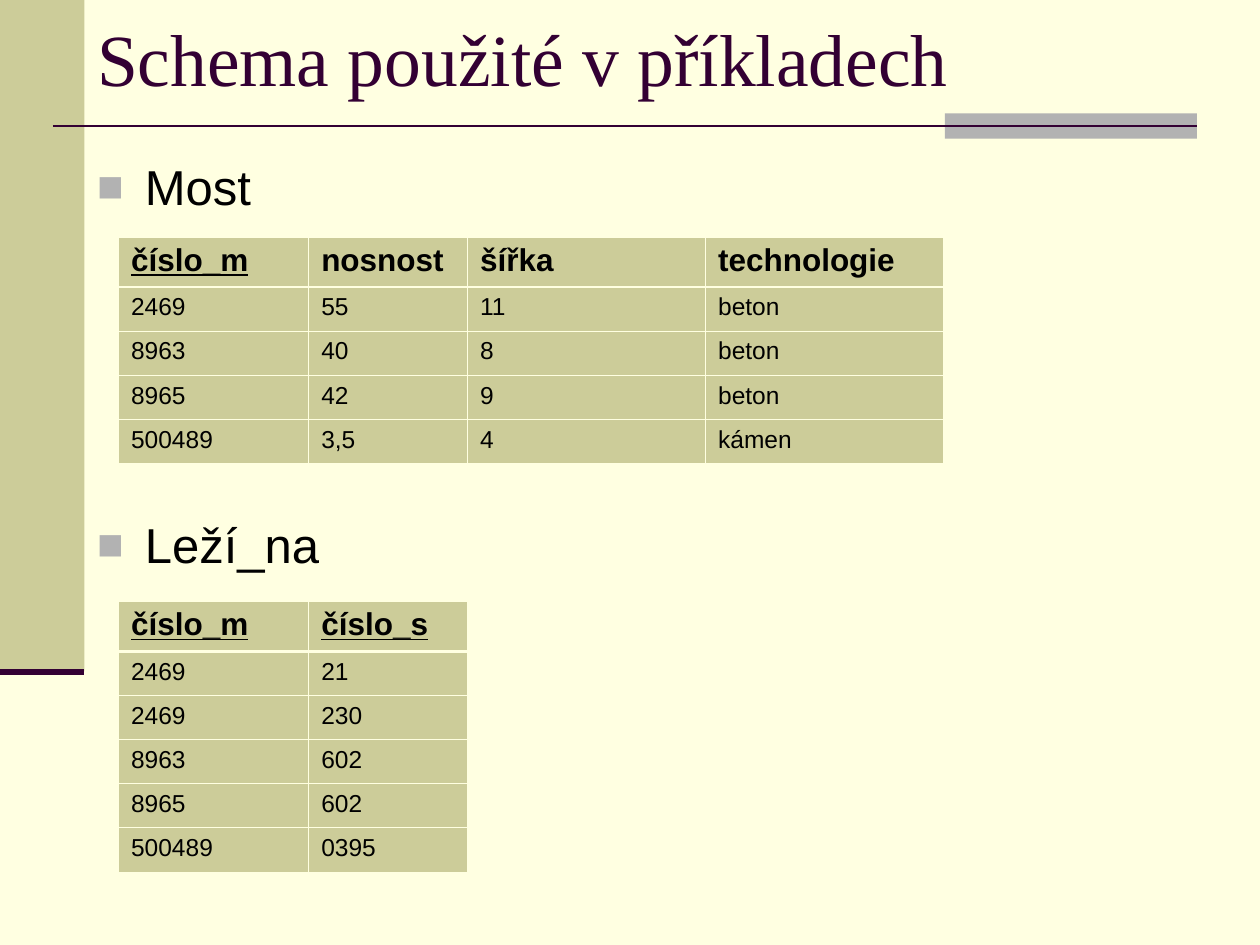
"""Build the slide that shows the example schema as two relation tables."""
from dataclasses import dataclass

import pptx
import pptx.dml.color
import pptx.enum.shapes
import pptx.enum.text
import pptx.oxml
import pptx.oxml.ns
import pptx.util
from lxml import etree

Inches = pptx.util.Inches
Pt = pptx.util.Pt


@dataclass(frozen=True)
class Theme:
    """Colours, fonts and type sizes of the deck."""
    paper: str = "FFFFE1"
    sand: str = "CCCC99"
    grey: str = "B2B2B2"
    plum: str = "330033"
    ink: str = "000000"
    title_font: str = "Times New Roman"
    body_font: str = "Arial"
    title_size: int = 42
    body_size: int = 28
    header_size: int = 18
    cell_size: int = 14
    thin: float = 0.45
    thick: float = 1.47


THEME = Theme()
TITLE = "Schema použité v příkladech"
RELATIONS = [
    {"name": "Most", "top": 1.88, "keys": {"číslo_m"}, "rows": [
        ("číslo_m", "nosnost", "šířka", "technologie"),
        ("2469", "55", "11", "beton"),
        ("8963", "40", "8", "beton"),
        ("8965", "42", "9", "beton"),
        ("500489", "3,5", "4", "kámen"),
    ]},
    {"name": "Leží_na", "top": 4.77, "keys": {"číslo_m", "číslo_s"}, "rows": [
        ("číslo_m", "číslo_s"),
        ("2469", "21"),
        ("2469", "230"),
        ("8963", "602"),
        ("8965", "602"),
        ("500489", "0395"),
    ]},
]
WIDTH, HEIGHT = 10, 7.5
MARGIN, BAND_HEIGHT = 0.67, 5.33
TITLE_HEIGHT, BODY_TOP = 0.91, 1.15
RULE_LEFT, RULE_TOP = 0.42, 1
ACCENT_LEFT, ACCENT_WIDTH, ACCENT_HEIGHT = 7.5, 2, 0.2
TABLE_LEFT, COLUMNS = 0.94, (1.51, 1.26, 1.89, 1.89)
HEADER_HEIGHT, ROW_HEIGHT = 0.4, 0.35
INDENT, ITEM_GAP = 0.38, 171


def colour(code):
    """Turn a hex code into a colour."""
    return pptx.dml.color.RGBColor.from_string(code)


def format_text(paragraph, font, size, code, bold=False, underline=False):
    """Format every run of a paragraph."""
    for span in paragraph.runs:
        span.font.name = font
        span.font.size = Pt(size)
        span.font.color.rgb = colour(code)
        span.font.bold = bold
        span.font.underline = underline


def place(shape, left, top, width, height):
    """Move and size a shape, in inches."""
    shape.left, shape.top = Inches(left), Inches(top)
    shape.width, shape.height = Inches(width), Inches(height)


def add_block(page, left, top, width, height, code):
    """Add a plain filled rectangle."""
    block = page.shapes.add_shape(
        pptx.enum.shapes.MSO_SHAPE.RECTANGLE,
        *map(Inches, (left, top, width, height)))
    block.shadow.inherit = False
    block.fill.solid()
    block.fill.fore_color.rgb = colour(code)
    block.line.fill.background()
    return block


def add_rule(page, left, right, top, weight):
    """Add a horizontal line without a shadow."""
    rule = page.shapes.add_connector(
        pptx.enum.shapes.MSO_CONNECTOR.STRAIGHT,
        *map(Inches, (left, top, right, top)))
    rule.line.color.rgb = colour(THEME.plum)
    rule.line.width = Pt(weight)
    etree.SubElement(rule._element.spPr, pptx.oxml.ns.qn("a:effectLst"))
    return rule


def add_decoration(page):
    """Add the side band, the accent block and their rules."""
    add_block(page, 0, 0, MARGIN, BAND_HEIGHT, THEME.sand)
    accent = add_block(page, ACCENT_LEFT, RULE_TOP - ACCENT_HEIGHT / 2,
                       ACCENT_WIDTH, ACCENT_HEIGHT, THEME.grey)
    rule = add_rule(page, RULE_LEFT, ACCENT_LEFT + ACCENT_WIDTH, RULE_TOP, 1.5)
    rule.end_connect(accent, 3)
    add_rule(page, 0, MARGIN, BAND_HEIGHT, 3.5)


def fill_title(box):
    """Write the title."""
    place(box, MARGIN, 0, WIDTH - MARGIN, TITLE_HEIGHT)
    frame = box.text_frame
    frame.text = TITLE
    frame.auto_size = pptx.enum.text.MSO_AUTO_SIZE.NONE
    frame.vertical_anchor = pptx.enum.text.MSO_ANCHOR.MIDDLE
    frame.paragraphs[0].alignment = pptx.enum.text.PP_ALIGN.LEFT
    format_text(frame.paragraphs[0], THEME.title_font, THEME.title_size, THEME.plum)


def add_bullet(paragraph):
    """Give a paragraph a hanging square bullet."""
    properties = paragraph._p.get_or_add_pPr()
    properties.set("marL", str(Inches(INDENT)))
    properties.set("indent", str(-Inches(INDENT)))
    tag = pptx.oxml.ns.qn
    tint = etree.SubElement(properties, tag("a:buClr"))
    etree.SubElement(tint, tag("a:srgbClr"), val=THEME.grey)
    etree.SubElement(properties, tag("a:buSzPct"), val="90000")
    etree.SubElement(properties, tag("a:buFont"), typeface=THEME.body_font)
    etree.SubElement(properties, tag("a:buChar"), char="■")


def fill_body(box):
    """List the relation names, spaced to leave room for the tables."""
    place(box, MARGIN, BODY_TOP, WIDTH - MARGIN, HEIGHT - BODY_TOP)
    frame = box.text_frame
    frame.text = "\n".join(relation["name"] for relation in RELATIONS)
    frame.auto_size = pptx.enum.text.MSO_AUTO_SIZE.NONE
    frame.margin_top = Inches(0.09)
    for index, paragraph in enumerate(frame.paragraphs):
        add_bullet(paragraph)
        paragraph.space_before = Pt(ITEM_GAP if index else 0)
        format_text(paragraph, THEME.body_font, THEME.body_size, THEME.ink)


def add_borders(cell, row):
    """Draw cell borders, heavier between the header and the first row."""
    weights = {"L": THEME.thin, "R": THEME.thin,
               "T": THEME.thick if row == 1 else THEME.thin,
               "B": THEME.thick if row == 0 else THEME.thin}
    tag = pptx.oxml.ns.qn
    properties = cell._tc.get_or_add_tcPr()
    for side, weight in weights.items():
        line = etree.SubElement(properties, tag(f"a:ln{side}"), w=str(int(Pt(weight))))
        fill = etree.SubElement(line, tag("a:solidFill"))
        etree.SubElement(fill, tag("a:srgbClr"), val=THEME.paper)


def add_relation(page, relation):
    """Add one relation as a table with its key columns underlined."""
    rows = relation["rows"]
    widths = COLUMNS[:len(rows[0])]
    heights = [HEADER_HEIGHT] + [ROW_HEIGHT] * (len(rows) - 1)
    table = page.shapes.add_table(
        len(rows), len(widths),
        *map(Inches, (TABLE_LEFT, relation["top"], sum(widths), sum(heights)))).table
    table.horz_banding = False
    for column, width in zip(table.columns, widths):
        column.width = Inches(width)
    for row, (values, height) in enumerate(zip(rows, heights)):
        table.rows[row].height = Inches(height)
        size = THEME.cell_size if row else THEME.header_size
        for column, value in enumerate(values):
            cell = table.cell(row, column)
            add_borders(cell, row)
            cell.fill.solid()
            cell.fill.fore_color.rgb = colour(THEME.sand)
            cell.text_frame.text = value
            format_text(cell.text_frame.paragraphs[0], THEME.body_font, size,
                        THEME.ink, row == 0, value in relation["keys"])


def main():
    """Assemble and save the deck."""
    deck = pptx.Presentation()
    deck.slide_width, deck.slide_height = Inches(WIDTH), Inches(HEIGHT)
    page = deck.slides.add_slide(deck.slide_layouts[1])
    page.background.fill.solid()
    page.background.fill.fore_color.rgb = colour(THEME.paper)
    add_decoration(page)
    fill_title(page.shapes.title)
    fill_body(page.placeholders[1])
    for relation in RELATIONS:
        add_relation(page, relation)
    deck.save("out.pptx")


if __name__ == "__main__":
    main()
